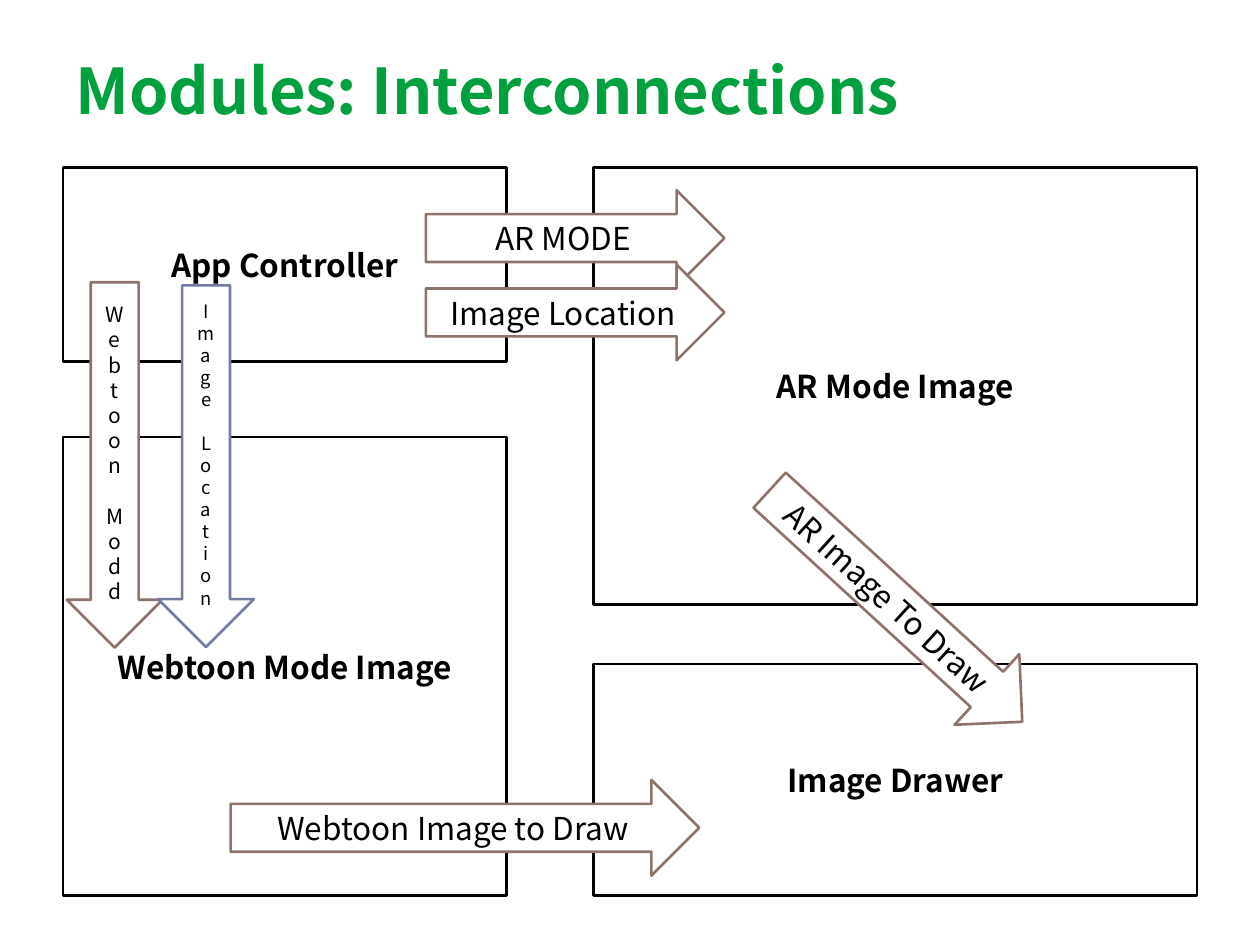
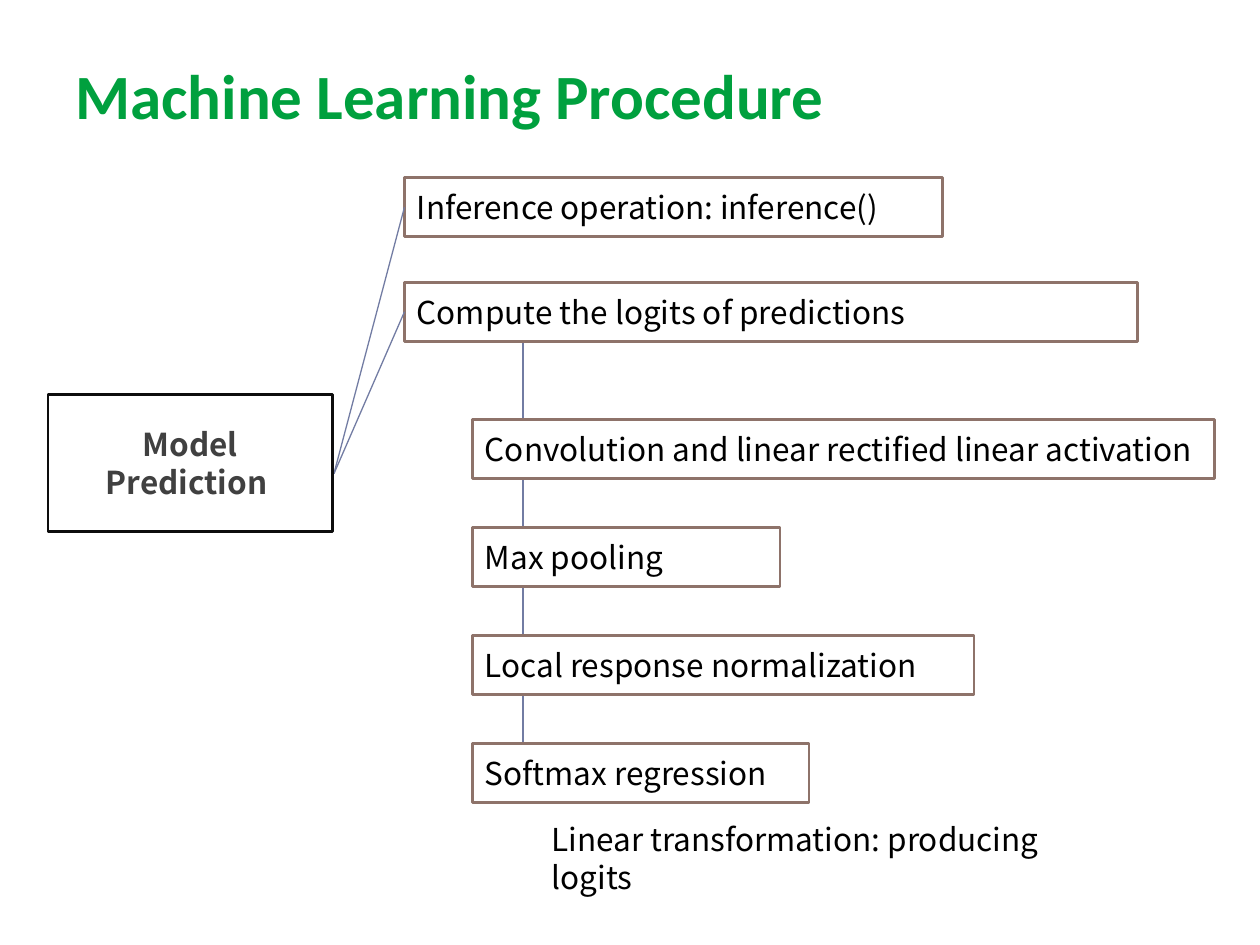
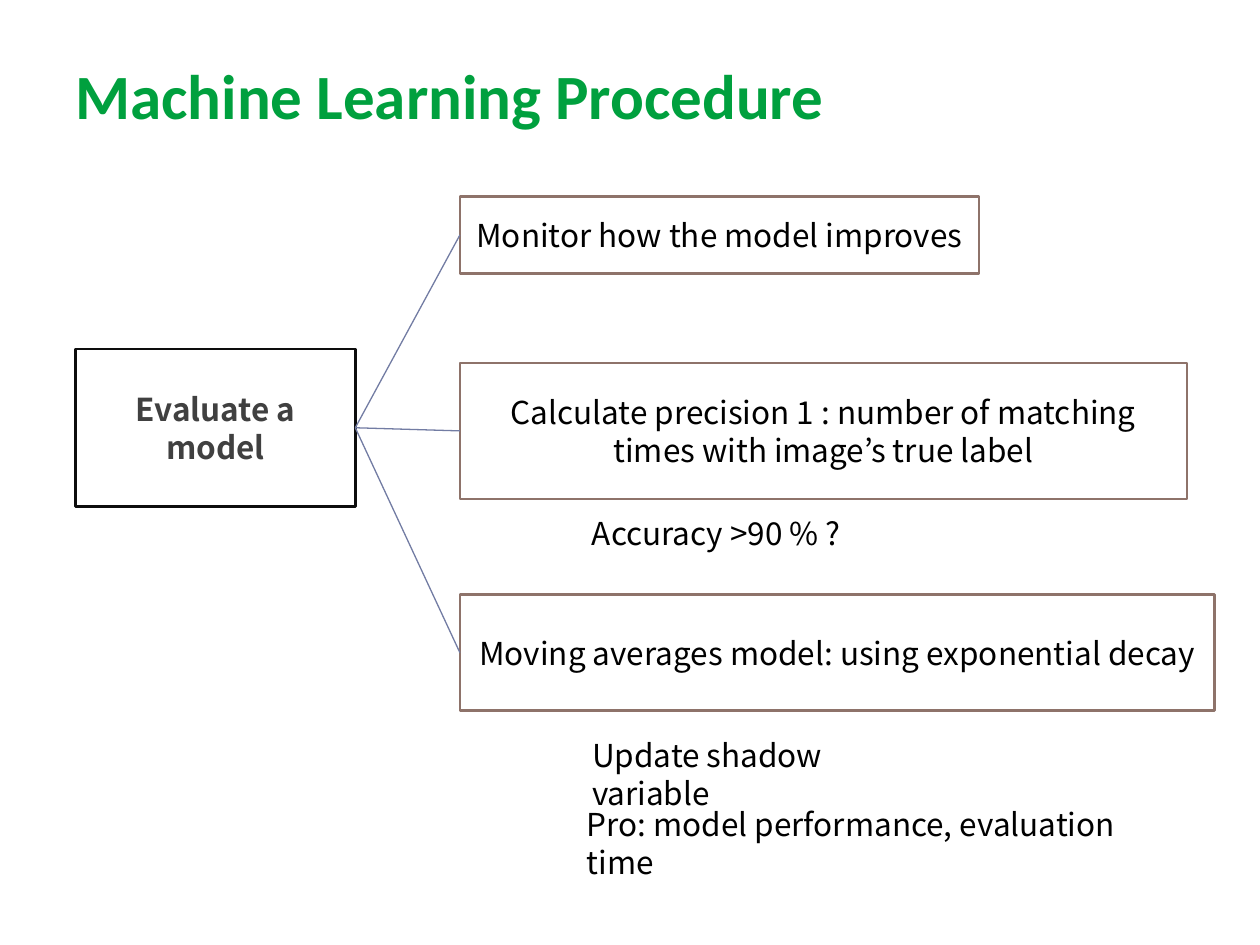
import pptx
import pptx.util
import pptx.dml.color
import pptx.enum.shapes
import pptx.enum.text
import pptx.oxml.ns
import lxml.etree

RGBColor = pptx.dml.color.RGBColor
GREEN = RGBColor(0x00, 0xA0, 0x3E)
BLACK = RGBColor(0x00, 0x00, 0x00)
WHITE = RGBColor(0xFF, 0xFF, 0xFF)
INK = RGBColor(0x0D, 0x0D, 0x0D)
GRAY = RGBColor(0x40, 0x40, 0x40)
BROWN = RGBColor(0x8E, 0x73, 0x6A)
BLUE = RGBColor(0x72, 0x7C, 0xA3)

BODY_FONT = "Noto Sans CJK KR"
TITLE_FONT = "Calibri"
LINE_HEIGHT = 1.2

WIDTH = pptx.util.Inches(10)
HEIGHT = pptx.util.Inches(7.5)
COLUMN = WIDTH / 100
ROW = HEIGHT / 75

SHAPE = pptx.enum.shapes.MSO_SHAPE
ANCHOR = pptx.enum.text.MSO_ANCHOR
ALIGN = pptx.enum.text.PP_ALIGN


def grid(col, row, *size):
    units = (COLUMN, ROW, COLUMN, ROW)
    return [round(n * unit) for n, unit in zip((col, row, *size), units)]


def style(p, size, color=BLACK, bold=False, font=BODY_FONT, align=ALIGN.LEFT):
    p.alignment = align
    p.font.size = pptx.util.Pt(size)
    p.font.name = font
    p.font.bold = bold
    p.font.color.rgb = color
    if font == BODY_FONT:
        p.line_spacing = pptx.util.Pt(size * LINE_HEIGHT)


def add_text(s, area, text, size=18, anchor=ANCHOR.TOP, **look):
    tf = s.shapes.add_textbox(*grid(*area)).text_frame
    tf.word_wrap = True
    tf.vertical_anchor = anchor
    tf.text = text
    style(tf.paragraphs[0], size, **look)


def add_title(s, text, row=3.9, font=TITLE_FONT):
    add_text(s, (5, row, 90, 7.1), text, 36, ANCHOR.BOTTOM,
             color=GREEN, bold=True, font=font)


def add_box(s, area, text, line=BROWN, kind=SHAPE.RECTANGLE,
            align=ALIGN.CENTER, **look):
    sp = s.shapes.add_shape(kind, *grid(*area))
    sp.shadow.inherit = False
    sp.fill.solid()
    sp.fill.fore_color.rgb = WHITE
    sp.line.color.rgb = line
    sp.line.width = pptx.util.Pt(1.5)
    tf = sp.text_frame
    tf.word_wrap = True
    tf.vertical_anchor = ANCHOR.MIDDLE
    tf.text = text
    style(tf.paragraphs[0], 18, align=align, **look)
    return sp


def add_arrow(s, col, row, length, text, rotation=0, line=BROWN):
    sp = add_box(s, (col, row, length, 7.6), text, line, SHAPE.RIGHT_ARROW)
    sp.rotation = rotation
    return sp


def add_down_arrow(s, col, row, length, words, size, line=BROWN, lines_below=0):
    sp = add_arrow(s, col, row, length, "", 90, line)
    tf = sp.text_frame
    tf._txBody.find(pptx.oxml.ns.qn("a:bodyPr")).set("vert", "vert270")
    tf.text = "\n".join("".join(words))
    for p in tf.paragraphs:
        style(p, size, align=ALIGN.CENTER)
    gap = pptx.util.Pt(size * LINE_HEIGHT)
    tf.paragraphs[len(words[0])].space_before = gap
    tf.paragraphs[-1].space_after = gap * lines_below


def add_line(s, start, end):
    straight = pptx.enum.shapes.MSO_CONNECTOR.STRAIGHT
    c = s.shapes.add_connector(straight, *grid(*start), *grid(*end))
    c.line.color.rgb = BLUE
    c.line.width = pptx.util.Pt(0.75)
    lxml.etree.SubElement(c._element.spPr, pptx.oxml.ns.qn("a:effectLst"))
    return c


def add_branch(s, start, box, root=None):
    c = add_line(s, start, start)
    if root is not None:
        c.begin_connect(root, 3)
    c.end_connect(box, 1)


def interconnections(s):
    add_title(s, "Modules: Interconnections", 3.5, BODY_FONT)
    left, right = (5, 35.2), (47.1, 47.9)
    for (col, width), row, height, name in (
            (right, 13.3, 34.7, "AR Mode Image"),
            (left, 34.7, 36.4, "Webtoon Mode Image"),
            (right, 52.7, 18.4, "Image Drawer"),
            (left, 13.3, 15.4, "App Controller")):
        add_box(s, (col, row, width, height), name, BLACK, bold=True)
    add_arrow(s, 33.8, 15.1, 23.7, "AR MODE")
    add_arrow(s, 18.3, 61.9, 37.2, "Webtoon Image to Draw")
    add_down_arrow(s, -5.4, 33.1, 29, ("Webtoon", "Modd"), 12)
    add_down_arrow(s, 2, 33.2, 28.7, ("Image", "Location"), 10.5, BLUE, 1)
    add_arrow(s, 33.8, 21, 23.7, "Image Location")
    add_arrow(s, 57.5, 44.3, 27.2, "AR Image To Draw", 42.5)


def prediction(s):
    add_line(s, (41.5, 27.2), (41.5, 61.7))
    add_title(s, "Machine Learning Procedure")
    tasks = [add_box(s, (32.1, row, width, 4.7), text, align=ALIGN.LEFT)
             for row, width, text in (
                 (22.4, 58.2, "Compute the logits of predictions"),
                 (14.1, 42.7, "Inference operation: inference()"))]
    steps = (
        (58.9, "Convolution and linear rectified linear activation"),
        (24.4, "Max pooling"),
        (39.8, "Local response normalization"),
        (26.7, "Softmax regression"))
    for i, (width, text) in enumerate(steps):
        add_box(s, (37.5, 33.3 + 8.57 * i, width, 4.7), text, align=ALIGN.LEFT)
    for task in tasks:
        add_branch(s, (26.5, 37.6), task)
    add_text(s, (42.8, 64.6, 47.4, 4), "Linear transformation: producing logits")
    add_box(s, (3.8, 31.3, 22.6, 10.9), "Model Prediction ", INK,
            color=GRAY, bold=True)


def evaluation(s):
    add_title(s, "Machine Learning Procedure")
    root = add_box(s, (6, 27.7, 22.2, 12.5), "Evaluate a model", INK,
                   color=GRAY, bold=True)
    for row, width, height, text in (
            (15.6, 41.2, 6.1, "Monitor how the model improves"),
            (28.8, 57.7, 10.8, "Calculate precision 1 : number of matching "
                               "times with image’s true label"),
            (47.2, 59.9, 9.2, "Moving averages model: using exponential decay")):
        box = add_box(s, (36.5, row, width, height), text)
        add_branch(s, (28.2, 34), box, root)
    for col, row, width, text in (
            (46, 40.3, 22.4, "Accuracy >90 % ?"),
            (46, 57.9, 29.1, "Update shadow variable"),
            (45.6, 63.4, 47.5, "Pro: model performance, evaluation time")):
        add_text(s, (col, row, width, 4), text)


def main():
    prs = pptx.Presentation()
    prs.slide_width = WIDTH
    prs.slide_height = HEIGHT
    for build in (interconnections, prediction, evaluation):
        build(prs.slides.add_slide(prs.slide_layouts[6]))
    prs.save("out.pptx")


if __name__ == "__main__":
    main()
